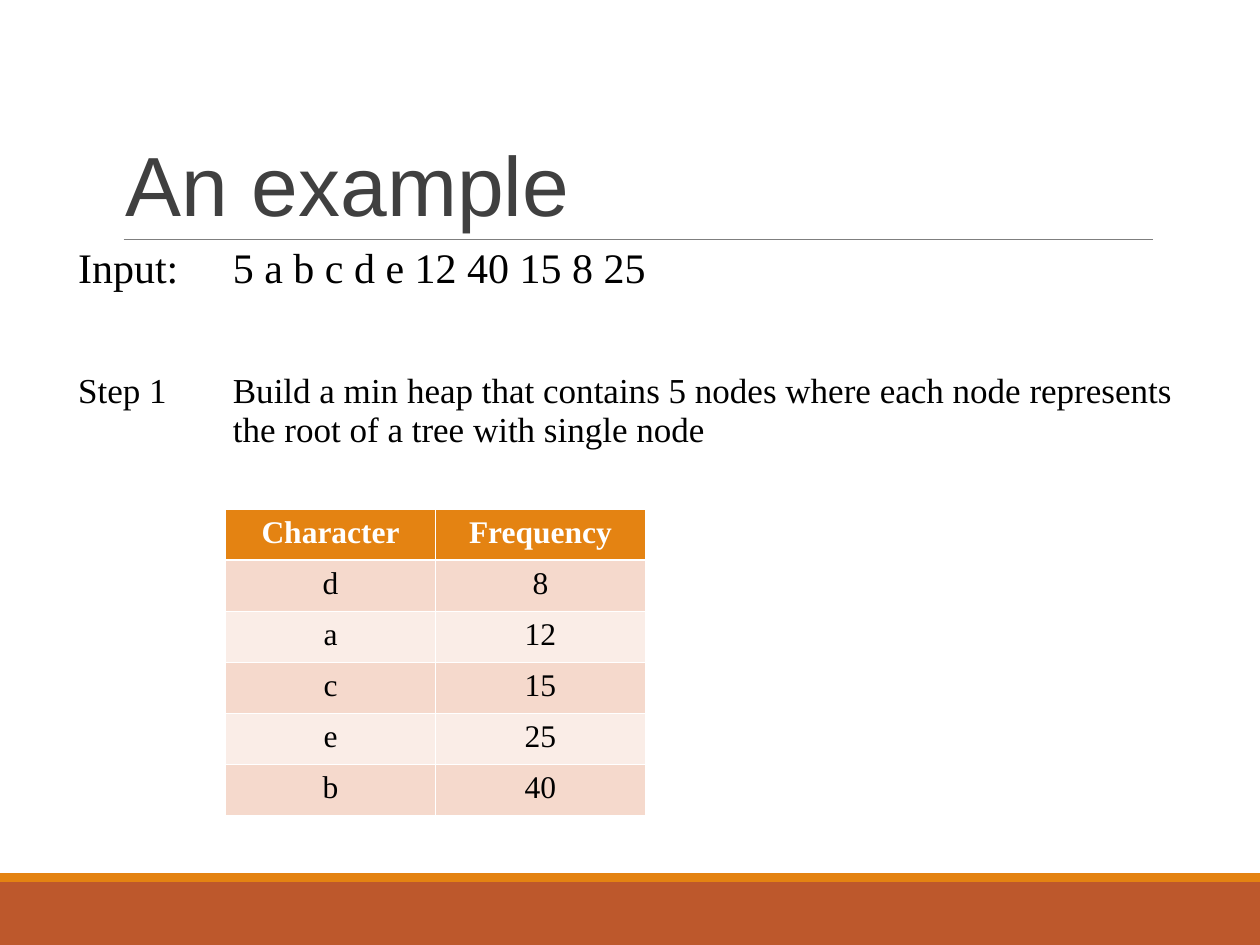
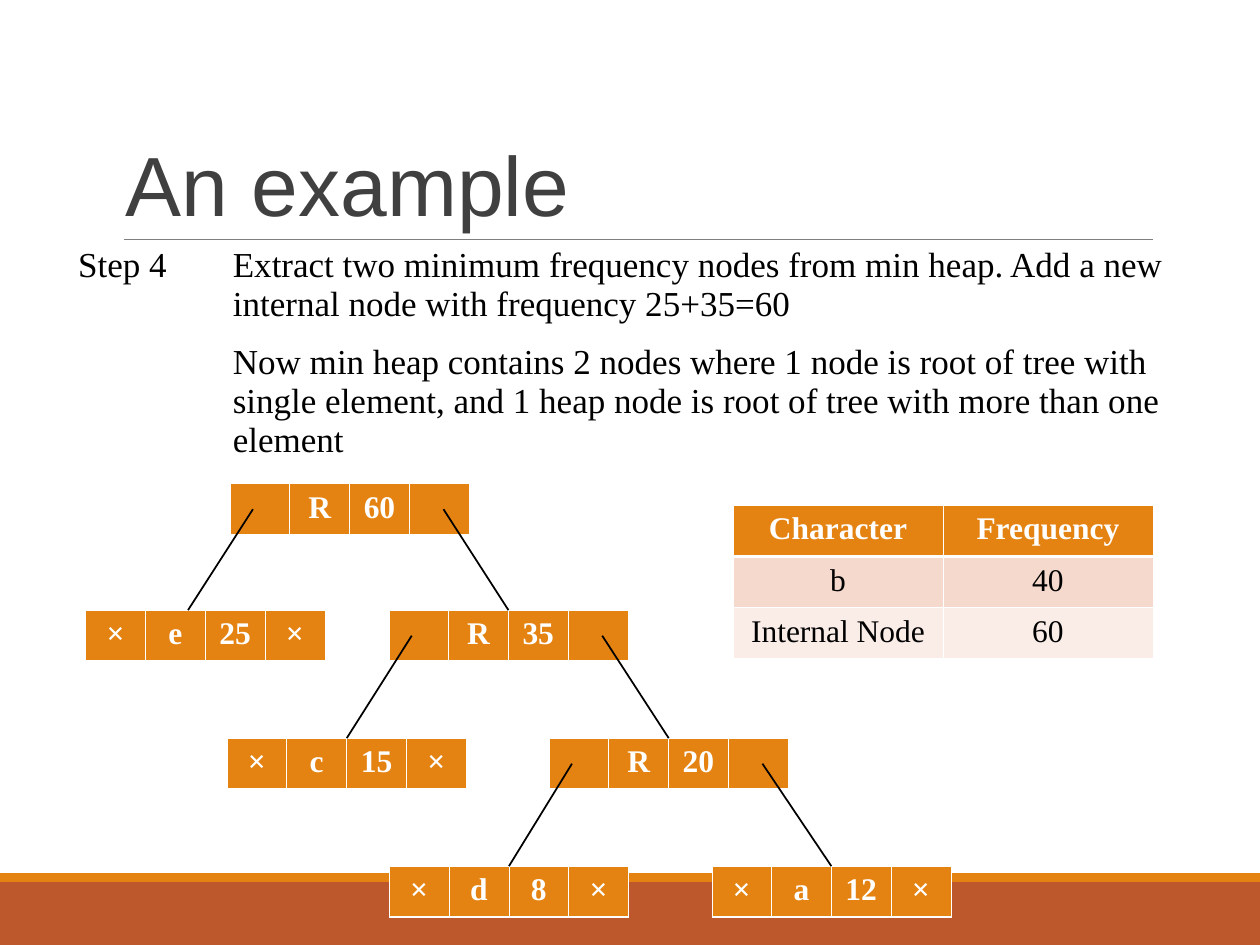
from lxml.etree import SubElement
from pptx import Presentation
from pptx.dml.color import RGBColor
from pptx.enum.shapes import MSO_CONNECTOR, MSO_SHAPE
from pptx.enum.text import MSO_ANCHOR, PP_ALIGN
from pptx.oxml.ns import qn
from pptx.util import Cm, Pt

ORANGE = RGBColor(0xE4, 0x83, 0x12)
RUST = RGBColor(0xBD, 0x58, 0x2C)
PEACH = RGBColor(0xF5, 0xD9, 0xCC)
BLUSH = RGBColor(0xFA, 0xED, 0xE7)
WHITE = RGBColor(0xFF, 0xFF, 0xFF)
BLACK = RGBColor(0, 0, 0)
CHARCOAL = RGBColor(0x40, 0x40, 0x40)
GREY = RGBColor(0x7F, 0x7F, 0x7F)

THIN, THICK = Pt(0.45), Pt(1.47)
TITLE = {"name": "Arial", "size": Pt(48)}
INPUT = {"name": "Times New Roman", "size": Pt(24), "bold": False}
STEP = INPUT | {"size": Pt(20)}
ENTRY = INPUT | {"size": Pt(18)}
HEADING = ENTRY | {"bold": True}

PLAIN_INPUT = (INPUT, BLACK, None, PP_ALIGN.LEFT, None)
PLAIN_STEP = (STEP, BLACK, None, PP_ALIGN.LEFT, None)
HEADER = (HEADING, WHITE, ORANGE, PP_ALIGN.CENTER, (THIN, THIN, THIN, THICK))
FIRST = (ENTRY, BLACK, PEACH, PP_ALIGN.CENTER, (THIN, THIN, THICK, THIN))
EVEN = (ENTRY, BLACK, BLUSH, PP_ALIGN.CENTER, (THIN,) * 4)
ODD = (ENTRY, BLACK, PEACH, PP_ALIGN.CENTER, (THIN,) * 4)


def add_grid(slide, left, top, widths, heights, rows, looks):
    grid = slide.shapes.add_table(
        len(rows), len(widths), Cm(left), Cm(top), Cm(sum(widths)), Cm(sum(heights))
    ).table
    grid.first_row = grid.horz_banding = False
    for column, width in zip(grid.columns, widths):
        column.width = Cm(width)
    for row, height, words, look in zip(grid.rows, heights, rows, looks):
        row.height = Cm(height)
        values, ink, background, align, borders = look
        for cell, word in zip(row.cells, words):
            properties = cell._tc.get_or_add_tcPr()
            for side, weight in zip("LRTB", borders or (0,) * 4):
                border = SubElement(properties, qn(f"a:ln{side}"), w=str(int(weight)))
                if weight:
                    paint = SubElement(border, qn("a:solidFill"))
                    SubElement(paint, qn("a:srgbClr"), val=str(WHITE))
                else:
                    SubElement(border, qn("a:noFill"))
            if background is None:
                cell.fill.background()
            else:
                cell.fill.solid()
                cell.fill.fore_color.rgb = background
            paragraph = cell.text_frame.paragraphs[0]
            paragraph.alignment = align
            if word:
                run = paragraph.add_run()
                run.text = word
                run.font.color.rgb = ink
                for name, value in values.items():
                    setattr(run.font, name, value)


def add_line(slide, x1, y1, x2, y2, ink, weight):
    line = slide.shapes.add_connector(
        MSO_CONNECTOR.STRAIGHT, Cm(x1), Cm(y1), Cm(x2), Cm(y2)
    )
    line.line.color.rgb = ink
    line.line.width = Pt(weight)
    SubElement(line._element.spPr, qn("a:effectLst"))


deck = Presentation()
deck.slide_width, deck.slide_height = Cm(25.4), Cm(19.05)

for _ in range(2):
    slide = deck.slides.add_slide(deck.slide_layouts[6])
    for top, height, colour in ((17.78, 1.27, RUST), (17.6, 0.18, ORANGE)):
        band = slide.shapes.add_shape(
            MSO_SHAPE.RECTANGLE, 0, Cm(top), deck.slide_width, Cm(height)
        )
        band.shadow.inherit = False
        band.fill.solid()
        band.fill.fore_color.rgb = colour
        band.line.fill.background()
    add_line(slide, 2.49, 4.83, 23.24, 4.83, GREY, 0.5)
    heading = slide.shapes.add_textbox(Cm(2.29), Cm(0.79), Cm(20.95), Cm(4.04)).text_frame
    heading.word_wrap = True
    heading.vertical_anchor = MSO_ANCHOR.BOTTOM
    heading.paragraphs[0].line_spacing = 0.85
    title = heading.paragraphs[0].add_run()
    title.text = "An example"
    title.font.color.rgb = CHARCOAL
    for name, value in TITLE.items():
        setattr(title.font, name, value)

build_slide, merge_slide = deck.slides

step_widths = (3.12, 20.29)
add_grid(build_slide, 1.32, 4.83, step_widths, (1.27, 1.27, 1.96), (
    ("Input:", "5 a b c d e 12 40 15 8 25"),
    ("", ""),
    ("Step 1", "Build a min heap that contains 5 nodes where each node represents "
               "the root of a tree with single node"),
), (PLAIN_INPUT, PLAIN_INPUT, PLAIN_STEP))
add_grid(merge_slide, 1.32, 4.83, step_widths, (1.96, 2.79), (
    ("Step 4", "Extract two minimum frequency nodes from min heap. Add a new "
               "internal node with frequency 25+35=60"),
    ("", "Now min heap contains 2 nodes where 1 node is root of tree with single "
         "element, and 1 heap node is root of tree with more than one element"),
), (PLAIN_STEP, PLAIN_STEP))

row_height = 1.03
heaps = (
    (build_slide, 4.55, 10.26,
     (("d", "8"), ("a", "12"), ("c", "15"), ("e", "25"), ("b", "40"))),
    (merge_slide, 14.78, 10.19, (("b", "40"), ("Internal Node", "60"))),
)
for slide, left, top, entries in heaps:
    rows = (("Character", "Frequency"), *entries)
    add_grid(slide, left, top, (4.23, 4.23), [row_height] * len(rows), rows,
             (HEADER, FIRST, EVEN, ODD, EVEN, ODD))

nodes = {
    "60": (4.64, 9.75, "R"),
    "25": (1.73, 12.3, "e"),
    "35": (7.84, 12.3, "R"),
    "15": (4.58, 14.88, "c"),
    "20": (11.07, 14.88, "R"),
    "8": (7.85, 17.46, "d"),
    "12": (14.35, 17.46, "a"),
}
for frequency, (left, top, label) in nodes.items():
    pointer = "" if label == "R" else "×"
    add_grid(merge_slide, left, top, [1.2, 1.21] * 2, [row_height],
             [(pointer, label, frequency, pointer)], [HEADER])

left_pointer, right_pointer, middle = 0.46, 4.3, 2.41
branches = (
    ("60", left_pointer, "25", 2.06),
    ("60", right_pointer, "35", middle),
    ("35", left_pointer, "15", middle),
    ("35", right_pointer, "20", middle),
    ("20", left_pointer, "8", middle),
    ("20", right_pointer, "12", middle),
)
for parent, pointer, child, landing in branches:
    parent_left, parent_top, _ = nodes[parent]
    child_left, child_top, _ = nodes[child]
    add_line(merge_slide, parent_left + pointer, parent_top + row_height / 2,
             child_left + landing, child_top, BLACK, 1)

deck.save("out.pptx")
